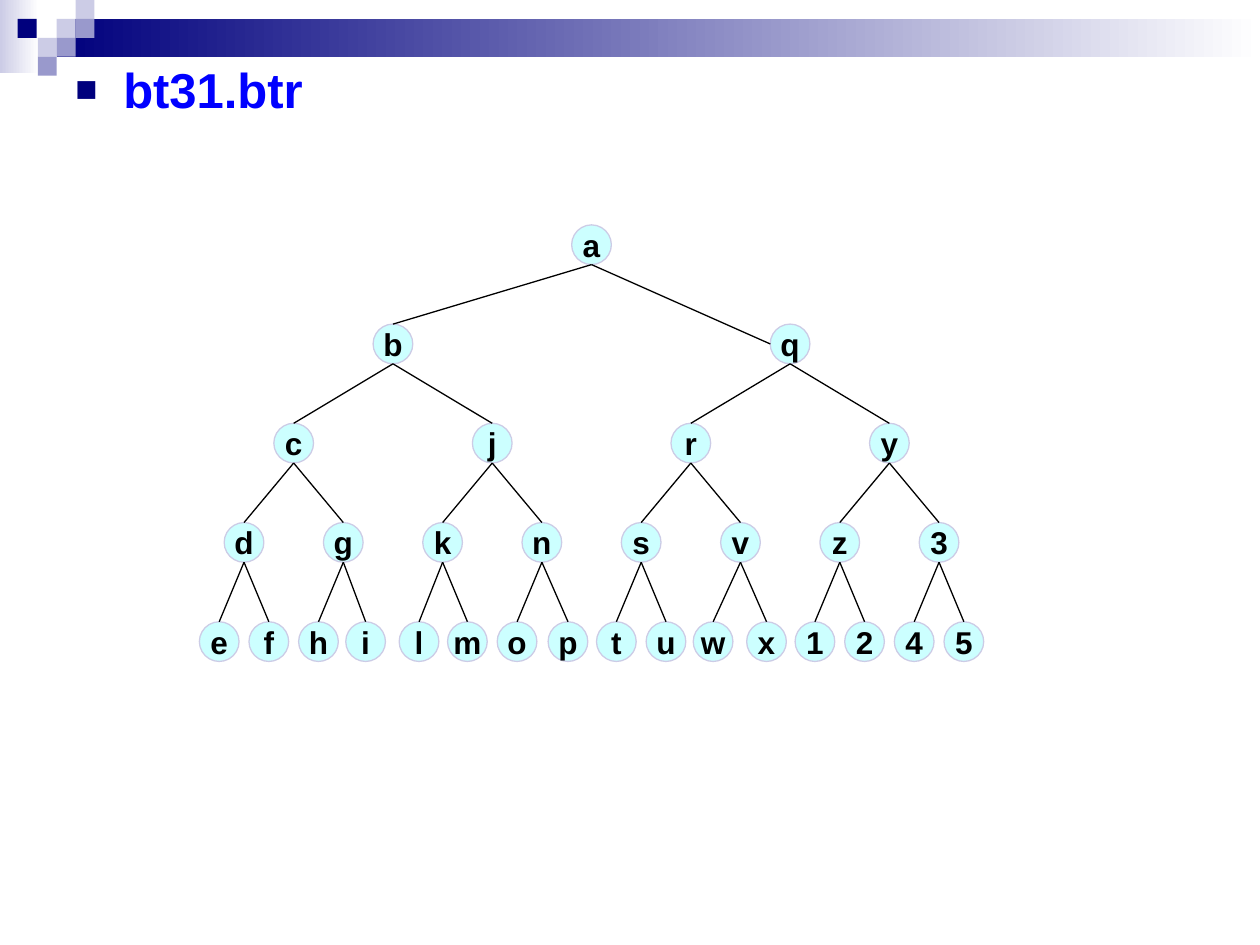
import pptx
import pptx.util
import pptx.dml.color
import pptx.enum.shapes
import pptx.enum.text
import pptx.oxml
import pptx.oxml.ns

WIDTH, HEIGHT = 10, 7.5
FONT = "Arial"
TITLE = "bt31.btr"

# Tree nodes, one string per level, left to right
LEVELS = ["a", "bq", "cjry", "dgknsvz3", "efhilmoptuwx1245"]
LEAF_NUDGES = {"i": -0.02, "l": 0.01, "p": 0.01, "w": -0.02, "x": 0.01}
SIDE_JOINED = {"q"}  # its edge meets the left side, not the top

FIRST_LEAF, LEAF_PITCH = 1.74, 0.394
TREE_TOP, LEVEL_PITCH, NODE_SIZE = 1.785, 0.7875, 0.315

# Header decoration: left, top, width, height, fill colours (two make a gradient)
SQUARE = 0.15
BANDS = [
    (0, 0, 0.31, 0.58, ("CCCCE6", "FFFFFF")),
    (0.45, SQUARE, WIDTH - 0.45, 0.3, ("00007D", "FFFFFF")),
]
SQUARES = [
    (0.45, 0.15, "CCCCE6"), (0.6, 0, "CCCCE6"), (0.6, 0.15, "9999CC"),
    (0.3, 0.3, "CCCCE6"), (0.14, 0.15, "00007D"), (0.45, 0.3, "9999CC"),
    (0.3, 0.45, "9999CC"),
]

inches = pptx.util.Inches
SHAPES = pptx.enum.shapes.MSO_SHAPE


def colour(value):
    return pptx.dml.color.RGBColor.from_string(value)


def add_text(shape, text, size=18, color="000000", bold=True, align=None):
    para = shape.text_frame.paragraphs[0]
    para.alignment = align
    span = para.add_run()
    span.text = text
    span.font.name = FONT
    span.font.size = pptx.util.Pt(size)
    span.font.bold = bold
    span.font.color.rgb = colour(color)
    return para


def add_block(page, kind, left, top, width, height, fills, line=None):
    shape = page.shapes.add_shape(
        kind, inches(left), inches(top), inches(width), inches(height))
    shape.shadow.inherit = False
    if len(fills) == 1:
        shape.fill.solid()
        shape.fill.fore_color.rgb = colour(fills[0])
    else:
        shape.fill.gradient()
        shape.fill.gradient_angle = 0
        for stop, value in zip(shape.fill.gradient_stops, fills):
            stop.color.rgb = colour(value)
    if line:
        shape.line.color.rgb = colour(line)
        shape.line.width = pptx.util.Pt(0.75)
    else:
        shape.line.fill.background()
    return shape


def add_bullet(para):
    props = para._p.get_or_add_pPr()
    props.set("marL", str(inches(0.38)))
    props.set("indent", str(inches(-0.38)))
    space = pptx.oxml.ns.nsdecls("a")
    for xml in (
        f'<a:spcBef {space}><a:spcPct val="20000"/></a:spcBef>',
        f'<a:buClr {space}><a:srgbClr val="00007D"/></a:buClr>',
        f'<a:buSzPct {space} val="75000"/>',
        f'<a:buFont {space} typeface="{FONT}"/>',
        f'<a:buChar {space} char="■"/>',
    ):
        props.append(pptx.oxml.parse_xml(xml))


def add_edge(page, start, end):
    edge = page.shapes.add_connector(
        pptx.enum.shapes.MSO_CONNECTOR.STRAIGHT,
        *(inches(value) for value in (*start, *end)))
    edge.line.color.rgb = colour("000000")
    edge.line.width = pptx.util.Pt(0.75)
    edge._element.spPr.append(pptx.oxml.parse_xml(
        f'<a:effectLst {pptx.oxml.ns.nsdecls("a")}/>'))


def node_centre(level, index):
    """Centre each node over the leaves below it."""
    leaves = 2 ** (len(LEVELS) - 1 - level)
    x = FIRST_LEAF + LEAF_PITCH * ((index + 0.5) * leaves - 0.5)
    x += LEAF_NUDGES.get(LEVELS[level][index], 0)
    return x, TREE_TOP + level * LEVEL_PITCH + NODE_SIZE / 2


def add_tree(page):
    radius = NODE_SIZE / 2
    for level, names in enumerate(LEVELS):
        for index, name in enumerate(names):
            x, y = node_centre(level, index)
            node = add_block(page, SHAPES.OVAL, x - radius, y - radius,
                             NODE_SIZE, NODE_SIZE, ["CCFFFF"], line="CCCCE6")
            node.text_frame.word_wrap = False
            node.text_frame.vertical_anchor = pptx.enum.text.MSO_ANCHOR.MIDDLE
            add_text(node, name, align=pptx.enum.text.PP_ALIGN.CENTER)
            if level:
                parent_x, parent_y = node_centre(level - 1, index // 2)
                end = (x - radius, y) if name in SIDE_JOINED else (x, y - radius)
                add_edge(page, (parent_x, parent_y + radius), end)


def main():
    deck = pptx.Presentation()
    deck.slide_width, deck.slide_height = inches(WIDTH), inches(HEIGHT)
    page = deck.slides.add_slide(deck.slide_layouts[6])

    # Header decoration
    for left, top, width, height, fills in BANDS:
        add_block(page, SHAPES.RECTANGLE, left, top, width, height, fills)
    for left, top, fill in SQUARES:
        add_block(page, SHAPES.RECTANGLE, left, top, SQUARE, SQUARE, [fill])

    # Bulleted heading
    box = page.shapes.add_textbox(
        inches(0.5), inches(0.42), inches(9.08), inches(7.08))
    box.text_frame.word_wrap = True
    add_bullet(add_text(box, TITLE, size=28, color="0000FF"))

    # Binary tree
    add_tree(page)

    deck.save("out.pptx")


if __name__ == "__main__":
    main()
